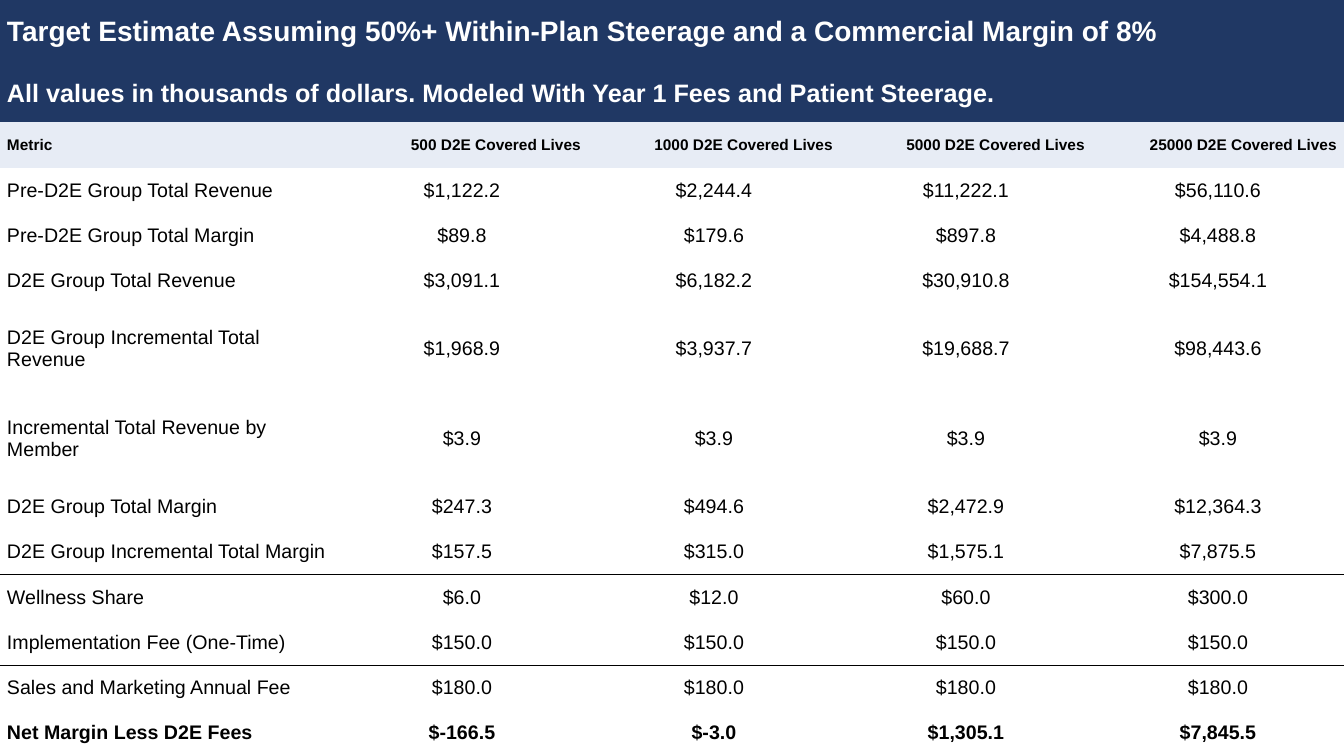
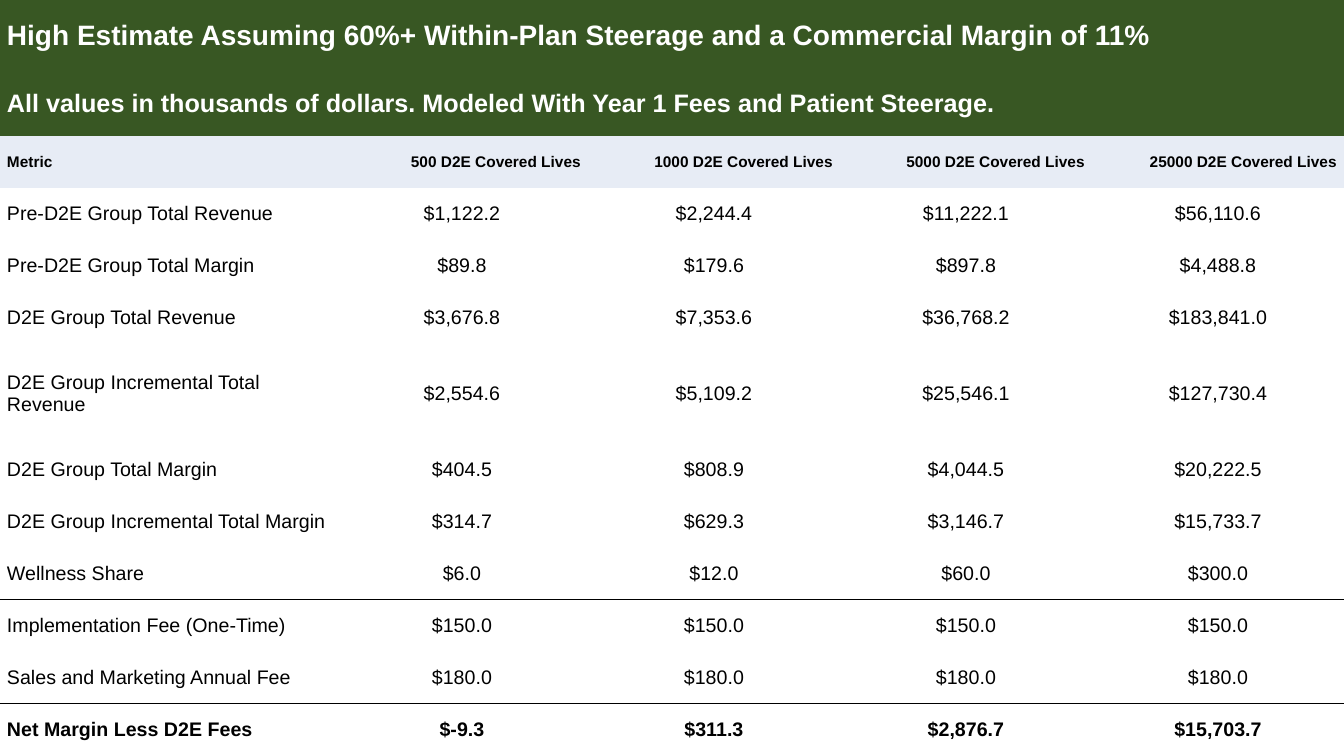
from lxml.etree import SubElement
from pptx import Presentation
from pptx.dml.color import RGBColor
from pptx.enum.text import MSO_ANCHOR, PP_ALIGN
from pptx.oxml.ns import qn
from pptx.util import Pt

# Content
NOTE = "All values in thousands of dollars. Modeled With Year 1 Fees and Patient Steerage."
HEADS = [("Metric", "500 D2E Covered Lives", "1000 D2E Covered Lives",
          "5000 D2E Covered Lives", "25000 D2E Covered Lives")]
PRE = [
    ("Pre-D2E Group Total Revenue", "$1,122.2", "$2,244.4", "$11,222.1", "$56,110.6"),
    ("Pre-D2E Group Total Margin", "$89.8", "$179.6", "$897.8", "$4,488.8"),
]
FEES = [
    ("Wellness Share", "$6.0", "$12.0", "$60.0", "$300.0"),
    ("Implementation Fee (One-Time)", "$150.0", "$150.0", "$150.0", "$150.0"),
    ("Sales and Marketing Annual Fee", "$180.0", "$180.0", "$180.0", "$180.0"),
]
TARGET = [
    ("D2E Group Total Revenue", "$3,091.1", "$6,182.2", "$30,910.8", "$154,554.1"),
    ("D2E Group Incremental Total Revenue", "$1,968.9", "$3,937.7", "$19,688.7", "$98,443.6"),
    ("Incremental Total Revenue by Member", "$3.9", "$3.9", "$3.9", "$3.9"),
    ("D2E Group Total Margin", "$247.3", "$494.6", "$2,472.9", "$12,364.3"),
    ("D2E Group Incremental Total Margin", "$157.5", "$315.0", "$1,575.1", "$7,875.5"),
]
HIGH = [
    ("D2E Group Total Revenue", "$3,676.8", "$7,353.6", "$36,768.2", "$183,841.0"),
    ("D2E Group Incremental Total Revenue", "$2,554.6", "$5,109.2", "$25,546.1", "$127,730.4"),
    ("D2E Group Total Margin", "$404.5", "$808.9", "$4,044.5", "$20,222.5"),
    ("D2E Group Incremental Total Margin", "$314.7", "$629.3", "$3,146.7", "$15,733.7"),
]
TALL = ("D2E Group Incremental Total Revenue", "Incremental Total Revenue by Member")
NET = "Net Margin Less D2E Fees"

# "rules" names the rows with a line below; "high" is title, note, row, tall row
SLIDES = [
    {"title": "Target Estimate Assuming 50%+ Within-Plan Steerage and a Commercial Margin of 8%",
     "band": "navy", "rows": TARGET, "high": (46, 41.5, 32.33, 64.6),
     "net": (NET, "$-166.5", "$-3.0", "$1,305.1", "$7,845.5"),
     "rules": ("D2E Group Incremental Total Margin", "Implementation Fee (One-Time)")},
    {"title": "High Estimate Assuming 60%+ Within-Plan Steerage and a Commercial Margin of 11%",
     "band": "green", "rows": HIGH, "high": (51.2, 46, 37.15, 71.3),
     "net": (NET, "$-9.3", "$311.3", "$2,876.7", "$15,703.7"),
     "rules": ("Wellness Share", "Sales and Marketing Annual Fee")},
]

# Shared look
COLORS = {"navy": "203864", "green": "385723", "head": "E7ECF5",
          "white": "FFFFFF", "black": "000000"}
FONTS = {
    "title": {"size": Pt(20), "bold": True, "color": "white"},
    "note": {"size": Pt(18), "bold": True, "color": "white"},
    "head": {"size": Pt(11), "bold": True, "color": "black"},
    "body": {"size": Pt(14), "bold": False, "color": "black"},
    "net": {"size": Pt(14), "bold": True, "color": "black"},
}
CELL = {"margin_left": 0, "margin_right": 0, "margin_top": 0, "margin_bottom": 0,
        "vertical_anchor": MSO_ANCHOR.MIDDLE}
WIDE, HIGHT = 960, 540
COLS = (240, 180, 180, 180, 180)
INDENT = str(Pt(5))
PLAIN = "{2D5ABB26-0587-4C30-8999-92F81FD0307C}"


def rgb(name):
    return RGBColor.from_string(COLORS[name])


def edge(cell, side, drawn):
    line = SubElement(cell._tc.get_or_add_tcPr(), qn("a:ln" + side), w=str(Pt(1)))
    if drawn:
        fill = SubElement(line, qn("a:solidFill"))
        SubElement(fill, qn("a:srgbClr"), val=COLORS["black"])
    else:
        SubElement(line, qn("a:noFill"))


def write(cell, text, kind, align, fill):
    for key, val in CELL.items():
        setattr(cell, key, val)
    if fill:
        cell.fill.solid()
        cell.fill.fore_color.rgb = rgb(fill)
    else:
        cell.fill.background()
    para = cell.text_frame.paragraphs[0]
    para.alignment = align
    props = para._p.get_or_add_pPr()
    for side in ("marL", "marR"):
        props.set(side, INDENT)
    run = para.add_run()
    run.text = text
    run.font.name = "Arial"
    for key, val in FONTS[kind].items():
        if key == "color":
            run.font.color.rgb = rgb(val)
        else:
            setattr(run.font, key, val)


def build(deck, data):
    slide = deck.slides.add_slide(deck.slide_layouts[6])
    rows = HEADS + PRE + data["rows"] + FEES + [data["net"]]
    top, sub, row, tall = data["high"]
    highs = [top, sub] + [tall if line[0] in TALL else row for line in rows]
    table = slide.shapes.add_table(len(highs), len(COLS), 0, 0, Pt(WIDE), Pt(HIGHT)).table
    table.first_row = table.horz_banding = False
    table._tbl.tblPr.find(qn("a:tableStyleId")).text = PLAIN
    for col, wide in zip(table.columns, COLS):
        col.width = Pt(wide)
    for line, high in zip(table.rows, highs):
        line.height = Pt(high)

    # Title band
    for r, kind, text in ((0, "title", data["title"]), (1, "note", NOTE)):
        cell = table.cell(r, 0)
        cell.merge(table.cell(r, len(COLS) - 1))
        write(cell, text, kind, PP_ALIGN.LEFT, data["band"])

    # Headings and values
    above = None
    for r, line in enumerate(rows, 2):
        name = line[0]
        kind = "head" if r == 2 else "net" if name == NET else "body"
        side = PP_ALIGN.RIGHT if kind == "head" else PP_ALIGN.CENTER
        for c, text in enumerate(line):
            cell = table.cell(r, c)
            edge(cell, "T", above in data["rules"])
            edge(cell, "B", name in data["rules"])
            write(cell, text, kind, side if c else PP_ALIGN.LEFT,
                  "head" if kind == "head" else None)
        above = name


def main():
    deck = Presentation()
    deck.slide_width, deck.slide_height = Pt(WIDE), Pt(HIGHT)
    for data in SLIDES:
        build(deck, data)
    deck.save("out.pptx")


if __name__ == "__main__":
    main()
